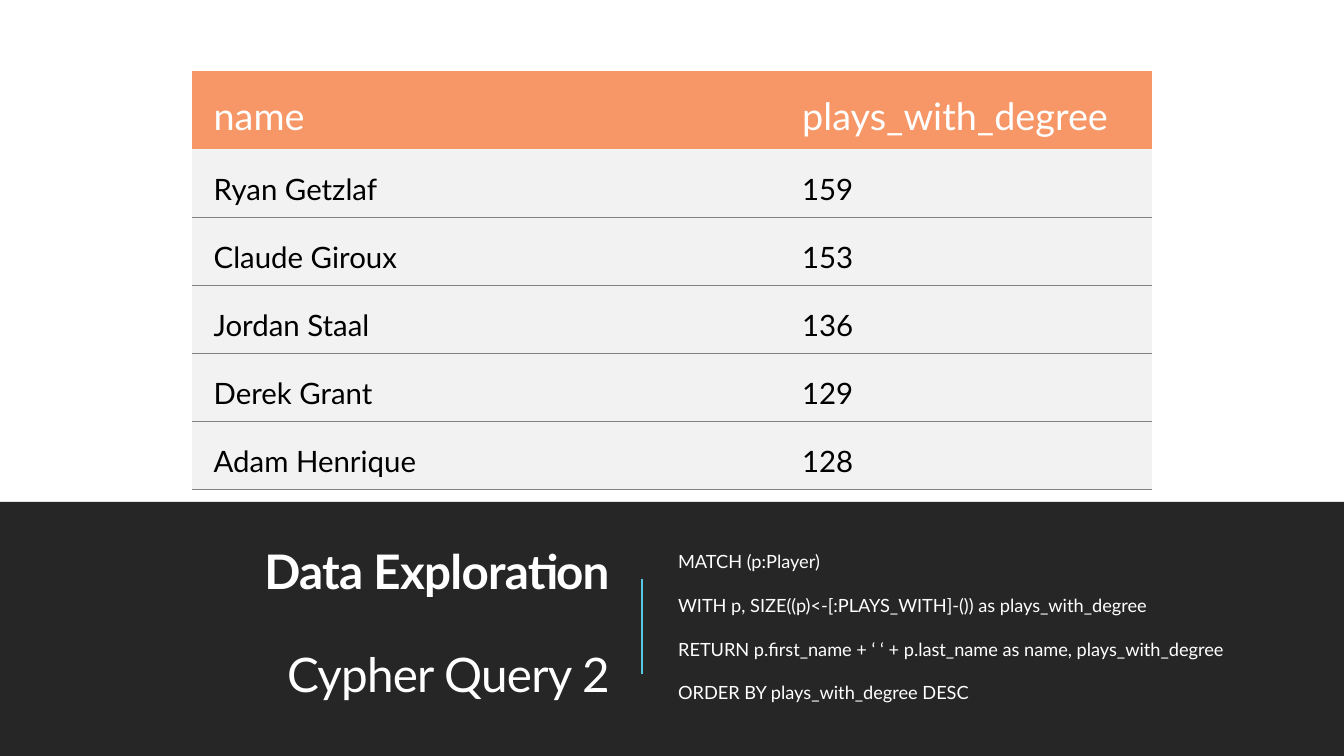
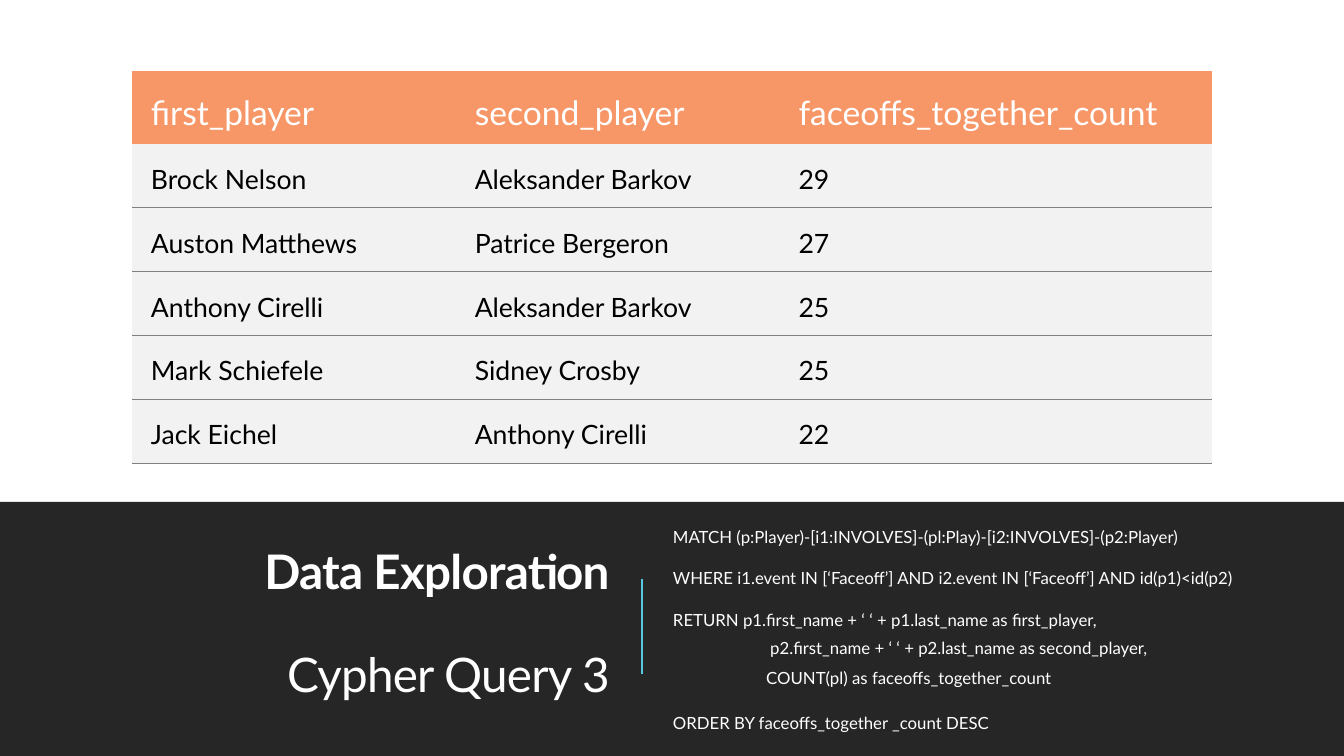
from dataclasses import dataclass

from lxml import etree
from pptx import Presentation
from pptx.dml.color import RGBColor
from pptx.enum.shapes import MSO_CONNECTOR, MSO_SHAPE
from pptx.enum.text import MSO_ANCHOR, MSO_AUTO_SIZE, PP_ALIGN
from pptx.oxml import parse_xml
from pptx.oxml.ns import nsdecls, qn
from pptx.util import Cm, Pt

WHITE = RGBColor(0xFF, 0xFF, 0xFF)
BLACK = RGBColor(0x00, 0x00, 0x00)
CHARCOAL = RGBColor(0x26, 0x26, 0x26)
ORANGE = RGBColor(0xF7, 0x97, 0x67)
PALE_GRAY = RGBColor(0xF2, 0xF2, 0xF2)
RULE_GRAY = RGBColor(0x80, 0x80, 0x80)
CYAN = RGBColor(0x57, 0xC7, 0xE3)

RECTANGLE = MSO_SHAPE.RECTANGLE
STRAIGHT = MSO_CONNECTOR.STRAIGHT
MIDDLE, TOP = MSO_ANCHOR.MIDDLE, MSO_ANCHOR.TOP
RIGHT = PP_ALIGN.RIGHT
NO_AUTOFIT = MSO_AUTO_SIZE.NONE

FONT = "Lato"
PLAIN_TABLE_STYLE = "{2D5ABB26-0587-4C30-8999-92F81FD0307C}"
SLIDE_WIDTH, SLIDE_HEIGHT = Cm(33.87), Cm(19.05)
BAND_TOP = Cm(12.65)
TABLE_TOP = Cm(1.79)


@dataclass(frozen=True)
class Box:
    """A rectangle in centimetres."""
    left: float
    top: float
    width: float
    height: float


@dataclass(frozen=True)
class QueryLine:
    text: str
    level: int = 0
    indent: float = 0.25


@dataclass(frozen=True)
class ResultTable:
    """Query results; lengths are centimetres and font sizes points."""
    rows: list[tuple[str, ...]]
    column_widths: tuple[float, ...]
    header_height: float
    row_height: float
    header_size: int
    body_size: int
    inset: float


@dataclass(frozen=True)
class QuerySlide:
    subtitle: str
    query: list[QueryLine]
    query_box: Box
    query_size: int
    table: ResultTable


TITLE_BOX = Box(1.75, 13.61, 13.87, 4.32)

QUERY_SLIDES = [
    QuerySlide(
        subtitle="Cypher Query 2",
        query=[
            QueryLine("MATCH (p:Player)"),
            QueryLine("WITH p, SIZE((p)<-[:PLAYS_WITH]-()) as plays_with_degree"),
            QueryLine("RETURN p.first_name + ‘ ‘ + p.last_name as name, plays_with_degree"),
            QueryLine("ORDER BY plays_with_degree DESC"),
        ],
        query_box=Box(16.84, 13.61, 15.27, 4.32),
        query_size=13,
        table=ResultTable(
            rows=[
                ("name", "plays_with_degree"),
                ("Ryan Getzlaf", "159"),
                ("Claude Giroux", "153"),
                ("Jordan Staal", "136"),
                ("Derek Grant", "129"),
                ("Adam Henrique", "128"),
            ],
            column_widths=(14.83, 9.37),
            header_height=1.96,
            row_height=1.71,
            header_size=27,
            body_size=21,
            inset=0.55,
        ),
    ),
    QuerySlide(
        subtitle="Cypher Query 3",
        query=[
            QueryLine("MATCH (p:Player)-[i1:INVOLVES]-(pl:Play)-[i2:INVOLVES]-(p2:Player)"),
            QueryLine("WHERE i1.event IN [‘Faceoff’] AND i2.event IN [‘Faceoff’] AND id(p1)<id(p2)"),
            QueryLine("RETURN p1.first_name + ‘ ‘ + p1.last_name as first_player,"),
            QueryLine("p2.first_name + ‘ ‘ + p2.last_name as second_player,", 1, 2.7),
            QueryLine("COUNT(pl) as faceoffs_together_count", 1, 2.6),
            QueryLine("ORDER BY faceoffs_together _count DESC"),
        ],
        query_box=Box(16.71, 13.2, 16.28, 5.28),
        query_size=12,
        table=ResultTable(
            rows=[
                ("first_player", "second_player", "faceoffs_together_count"),
                ("Brock Nelson", "Aleksander Barkov", "29"),
                ("Auston Matthews", "Patrice Bergeron", "27"),
                ("Anthony Cirelli", "Aleksander Barkov", "25"),
                ("Mark Schiefele", "Sidney Crosby", "25"),
                ("Jack Eichel", "Anthony Cirelli", "22"),
            ],
            column_widths=(8.16, 8.16, 10.92),
            header_height=1.83,
            row_height=1.61,
            header_size=24,
            body_size=19,
            inset=0.49,
        ),
    ),
]


def place(shape, box: Box) -> None:
    shape.left, shape.top = Cm(box.left), Cm(box.top)
    shape.width, shape.height = Cm(box.width), Cm(box.height)


def format_runs(paragraph, size: int, color: RGBColor, bold: bool = False) -> None:
    for run in paragraph.runs:
        run.font.name = FONT
        run.font.size = Pt(size)
        run.font.bold = bold
        run.font.color.rgb = color


def add_band(slide) -> None:
    """Draw the dark lower band behind the placeholders."""
    band = slide.shapes.add_shape(RECTANGLE, 0, BAND_TOP, SLIDE_WIDTH, SLIDE_HEIGHT - BAND_TOP)
    band.shadow.inherit = False
    band.fill.solid()
    band.fill.fore_color.rgb = CHARCOAL
    band.line.fill.background()
    slide.shapes._spTree.insert(2, band._element)


def add_divider(slide) -> None:
    divider = slide.shapes.add_connector(STRAIGHT, Cm(16.18), Cm(14.58), Cm(16.18), Cm(16.99))
    divider.line.color.rgb = CYAN
    divider.line.width = Pt(1.5)
    etree.SubElement(divider._element.spPr, qn("a:effectLst"))


def fill_title(slide, subtitle: str) -> None:
    title = slide.shapes.title
    place(title, TITLE_BOX)
    text_frame = title.text_frame
    text_frame.text = f"Data Exploration\n{subtitle}"
    text_frame.auto_size = NO_AUTOFIT
    text_frame.vertical_anchor = MIDDLE
    for index, paragraph in enumerate(text_frame.paragraphs):
        paragraph.alignment = RIGHT
        paragraph.line_spacing = 0.9
        paragraph.space_before = Pt(37 * index)
        format_runs(paragraph, 34, WHITE, bold=index == 0)
        for run in paragraph.runs:
            run._r.get_or_add_rPr().set("spc", "-50")


def fill_query(slide, content: QuerySlide) -> None:
    body = slide.placeholders[1]
    place(body, content.query_box)
    text_frame = body.text_frame
    text_frame.text = "\n".join(line.text for line in content.query)
    text_frame.auto_size = NO_AUTOFIT
    text_frame.vertical_anchor = MIDDLE
    text_frame.margin_left = text_frame.margin_right = 0
    for paragraph, line in zip(text_frame.paragraphs, content.query):
        paragraph.level = line.level
        paragraph.line_spacing = 1.1
        paragraph.space_before = Pt(2 if line.level else 12)
        paragraph.space_after = Pt(4 if line.level else 2)
        properties = paragraph._p.get_or_add_pPr()
        properties.set("marL", str(Cm(line.indent)))
        properties.set("indent", "0")
        etree.SubElement(properties, qn("a:buNone"))
        format_runs(paragraph, content.query_size, WHITE)


def add_bottom_rule(cell) -> None:
    rule = parse_xml(
        f'<a:lnB {nsdecls("a")} w="{Pt(0.75)}"><a:solidFill>'
        f'<a:srgbClr val="{RULE_GRAY}"/></a:solidFill></a:lnB>'
    )
    cell._tc.get_or_add_tcPr().insert(0, rule)


def fill_cell(cell, text: str, content: ResultTable, is_header: bool) -> None:
    cell.text_frame.text = text
    cell.margin_left = cell.margin_right = cell.margin_top = Cm(content.inset)
    cell.margin_bottom = Cm(content.inset / 2)
    cell.vertical_anchor = MIDDLE if is_header else TOP
    cell.fill.solid()
    cell.fill.fore_color.rgb = ORANGE if is_header else PALE_GRAY
    size = content.header_size if is_header else content.body_size
    format_runs(cell.text_frame.paragraphs[0], size, WHITE if is_header else BLACK)
    if not is_header:
        add_bottom_rule(cell)


def add_result_table(slide, content: ResultTable) -> None:
    """Add the table, centred across the slide."""
    row_count, column_count = len(content.rows), len(content.column_widths)
    width = Cm(sum(content.column_widths))
    height = Cm(content.header_height + content.row_height * (row_count - 1))
    left = (SLIDE_WIDTH - width) // 2
    table = slide.shapes.add_table(row_count, column_count, left, TABLE_TOP, width, height).table
    table.first_row = table.horz_banding = False
    table._tbl.tblPr.find(qn("a:tableStyleId")).text = PLAIN_TABLE_STYLE
    for column, column_width in zip(table.columns, content.column_widths):
        column.width = Cm(column_width)
    for row_index, (row, texts) in enumerate(zip(table.rows, content.rows)):
        is_header = row_index == 0
        row.height = Cm(content.header_height if is_header else content.row_height)
        for cell, text in zip(row.cells, texts):
            fill_cell(cell, text, content, is_header)


def add_query_slide(presentation, content: QuerySlide) -> None:
    slide = presentation.slides.add_slide(presentation.slide_layouts[1])
    add_band(slide)
    fill_title(slide, content.subtitle)
    add_divider(slide)
    fill_query(slide, content)
    add_result_table(slide, content.table)


def main() -> None:
    presentation = Presentation()
    presentation.slide_width = SLIDE_WIDTH
    presentation.slide_height = SLIDE_HEIGHT
    for content in QUERY_SLIDES:
        add_query_slide(presentation, content)
    presentation.save("out.pptx")


if __name__ == "__main__":
    main()
